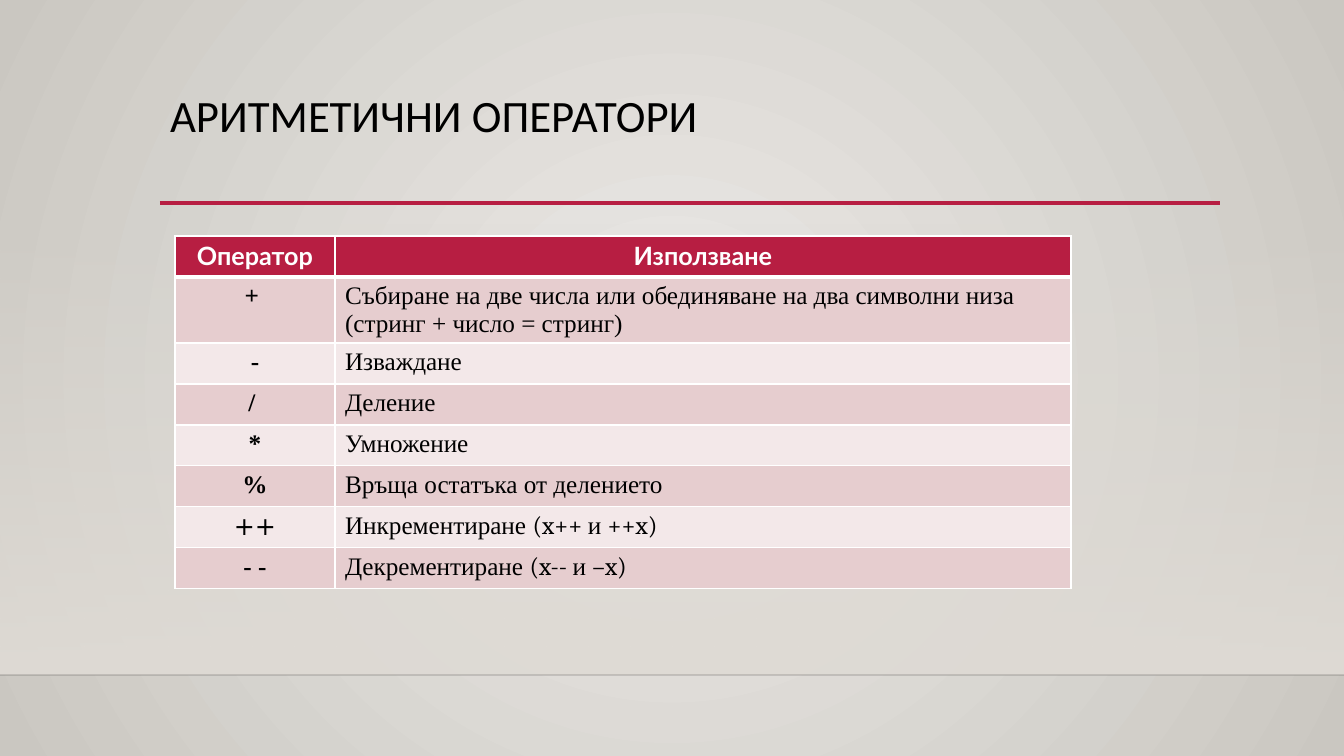
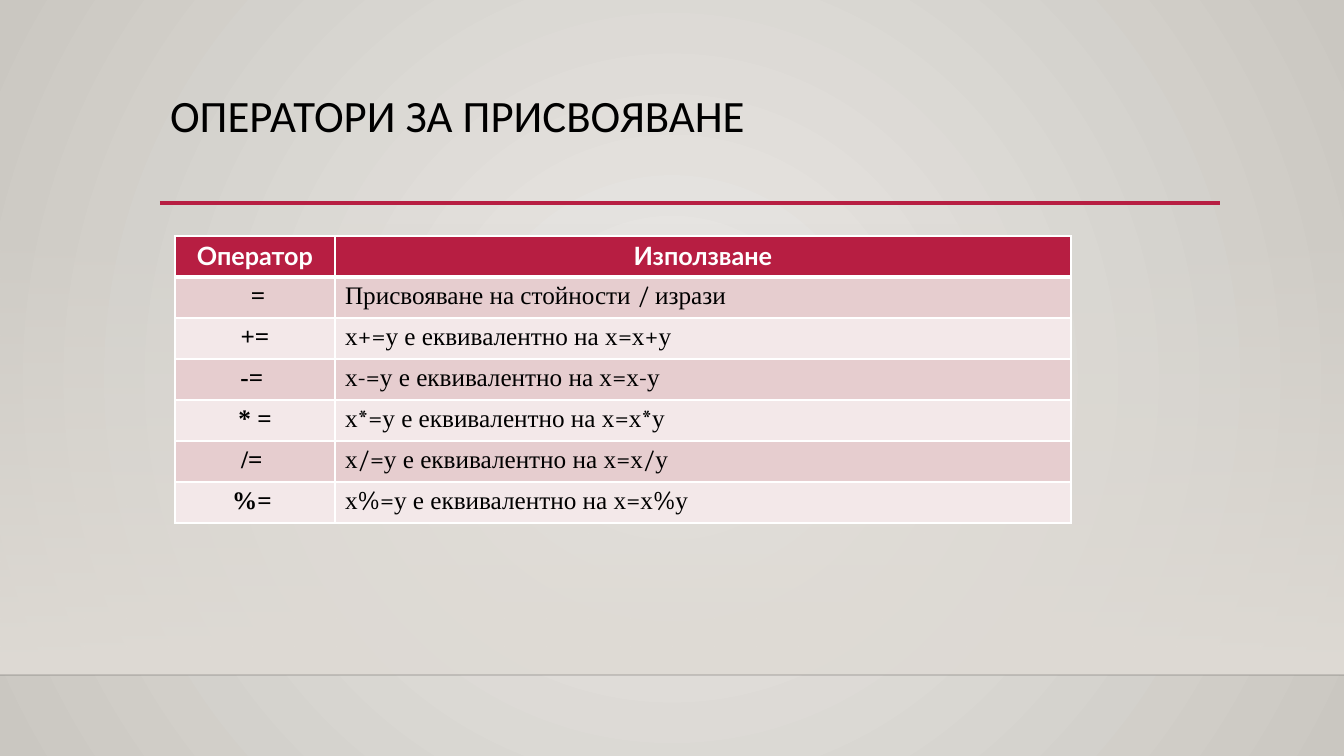
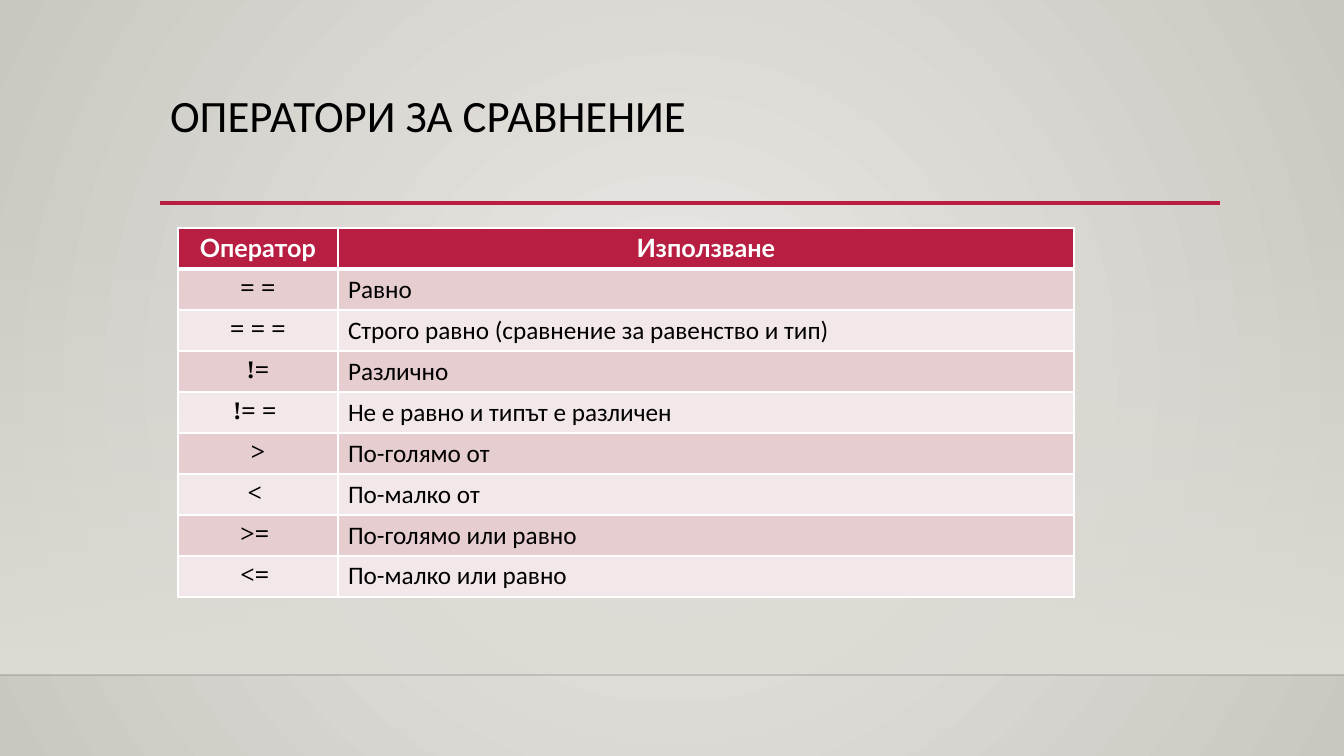
"""Build three slides of operator tables on a shared layout."""
from dataclasses import dataclass
from itertools import cycle

from lxml.etree import SubElement
from pptx import Presentation
from pptx.dml.color import RGBColor
from pptx.enum.dml import MSO_FILL
from pptx.enum.shapes import MSO_CONNECTOR, MSO_SHAPE, PP_PLACEHOLDER
from pptx.enum.text import MSO_ANCHOR, MSO_AUTO_SIZE, PP_ALIGN
from pptx.oxml.ns import qn
from pptx.util import Pt


@dataclass(frozen=True)
class Theme:
    accent: str = "B71E42"
    bands: tuple = ("E6CDCF", "F3E8E9")
    backdrop: tuple = ("ECEAE7", "CAC7C1")
    floor: str = "DFDBD5"
    edge: str = "000001"
    ink: str = "000000"
    paper: str = "FFFFFF"
    title_font: str = "Calibri"
    head_font: str = "Lato"
    serif: str = "Times New Roman"
    code_font: str = "Cambria"
    wide_font: str = "DejaVu Sans"
    title_size: int = 32
    cell_size: int = 18


T = Theme()
PX = 914400 / 100.8
W, H = 1344, 756
TITLE_BOX = (160, 89, 1058, 115)
FLOOR_BOX = (0, 223, W, 452)
COLS = (160, 736)
ROW_H = 41
HEAD = ("Оператор", "Използване")
MIXED = (T.serif, T.code_font)

ASSIGN = (("+=", "+"), ("-= ", "-"), ("* =", "*"), ("/= ", "/"), ("%= ", "%"))
SLIDES = [
    {"title": "АРИТМЕТИЧНИ ОПЕРАТОРИ", "at": (175, 236), "fonts": MIXED, "rows": [
        ("+ ", "Събиране на две числа или обединяване на два символни низа (стринг + число = стринг)"),
        ("-", "Изваждане"),
        ("/ ", "Деление"),
        ("*", "Умножение"),
        ("%", "Връща остатъка от делението"),
        ("++", "Инкрементиране |(x++ |и |++x)"),
        ("- -", "Декрементиране |(x-- |и |–x)"),
    ]},
    {"title": "ОПЕРАТОРИ ЗА ПРИСВОЯВАНЕ", "at": (175, 236), "fonts": MIXED, "rows": [
        (" =", "Присвояване на стойности |/ |изрази"),
        *((label, f"х|{op}=|у е еквивалентно на х|=|х|{op}|у") for label, op in ASSIGN),
    ]},
    {"title": "ОПЕРАТОРИ ЗА СРАВНЕНИЕ", "at": (178, 228), "fonts": (T.title_font,), "rows": [
        ("= =", "Равно"),
        ("= = =", "Строго равно (сравнение за равенство и тип)"),
        ("!=", "Различно"),
        ("!= = ", "Не е равно и типът е различен"),
        (">", "По-голямо от"),
        ("< ", "По-малко от"),
        (">= ", "По-голямо или равно"),
        ("<= ", "По-малко или равно"),
    ]},
]


def px(*values):
    return [round(v * PX) for v in values]


def rgb(color):
    return RGBColor.from_string(color)


def write(tf, text, *, fonts, size=T.cell_size, color=T.ink, bold=False,
          align=PP_ALIGN.LEFT, spacing=None):
    p = tf.paragraphs[0]
    p.alignment, p.line_spacing = align, spacing
    for part, font in zip(text.split("|"), cycle(fonts)):
        r = p.add_run()
        r.text = part
        r.font.name, r.font.size, r.font.bold = font, Pt(size), bold
        r.font.color.rgb = rgb(color)


def set_alpha(color_el, percent):
    SubElement(color_el, qn("a:alpha"), val=str(percent * 1000))


def set_gradient(fill, colors):
    fill.gradient()
    for stop, color in zip(fill.gradient_stops, colors):
        stop.color.rgb = rgb(color)


def add_line(s, start, end, color, width, alpha=None):
    line = s.shapes.add_connector(MSO_CONNECTOR.STRAIGHT, *px(*start, *end))
    line.line.color.rgb, line.line.width = rgb(color), Pt(width)
    sp_pr = line.element.spPr
    if alpha is not None:
        set_alpha(sp_pr.find(".//" + qn("a:srgbClr")), alpha)
    SubElement(sp_pr, qn("a:effectLst"))
    return line


def set_backdrop(master):
    set_gradient(master.background.fill, T.backdrop)
    grad = master.element.find(".//" + qn("a:gradFill"))
    grad.remove(grad.find(qn("a:lin")))
    circle = SubElement(grad, qn("a:path"), path="circle")
    SubElement(circle, qn("a:fillToRect"), {side: "50000" for side in "ltrb"})


def decorate_layout(layout, s):
    """Draw the shared parts on a slide and move them to its layout."""
    tree = layout.shapes.element
    for ph in list(layout.placeholders):
        if ph.placeholder_format.type != PP_PLACEHOLDER.TITLE:
            tree.remove(ph.element)
    floor = s.shapes.add_shape(MSO_SHAPE.RECTANGLE, *px(*FLOOR_BOX))
    floor.shadow.inherit = False
    floor.line.fill.background()
    set_gradient(floor.fill, (T.floor, T.floor))
    floor.fill.gradient_angle = 270
    set_alpha(floor.element.spPr.find(".//" + qn("a:srgbClr")), 0)
    parts = [floor,
             add_line(s, (0, 675), (W, 675), T.edge, 1, alpha=20),
             add_line(s, (160, 203), (1220, 203), T.accent, 2.5)]
    for part in parts:
        tree.append(part.element)


def add_title(s, text):
    title = s.shapes.title
    title.left, title.top, title.width, title.height = px(*TITLE_BOX)
    tf = title.text_frame
    tf.word_wrap, tf.auto_size = True, MSO_AUTO_SIZE.NONE
    tf.vertical_anchor = MSO_ANCHOR.TOP
    write(tf, text, fonts=(T.title_font,), size=T.title_size, spacing=0.9)


def style_cell(cell, fill, borders):
    tc_pr = cell._tc.get_or_add_tcPr()
    for side, width in borders.items():
        ln = SubElement(tc_pr, qn("a:ln" + side), w=str(Pt(width)))
        SubElement(SubElement(ln, qn("a:solidFill")), qn("a:srgbClr"), val=T.paper)
    cell.fill.solid()
    cell.fill.fore_color.rgb = rgb(fill)


def add_operators(s, at, rows, fonts):
    size = sum(COLS), ROW_H * (len(rows) + 1)
    table = s.shapes.add_table(len(rows) + 1, len(COLS), *px(*at, *size)).table
    table.horz_banding = False
    for col, width in zip(table.columns, px(*COLS)):
        col.width = width
    for cell, text in zip(table.rows[0].cells, HEAD):
        style_cell(cell, T.accent, {"L": 1, "R": 1, "T": 1, "B": 3})
        write(cell.text_frame, text, fonts=(T.head_font,), color=T.paper,
              bold=True, align=PP_ALIGN.CENTER)
    for i, (operator, usage) in enumerate(rows):
        cells = table.rows[i + 1].cells
        for cell in cells:
            style_cell(cell, T.bands[i % 2], {"L": 1, "R": 1, "B": 1})
        wide = operator == "++"
        write(cells[0].text_frame, operator, bold=not wide, align=PP_ALIGN.CENTER,
              fonts=(T.wide_font if wide else T.serif,))
        write(cells[1].text_frame, usage, fonts=fonts)


def main():
    prs = Presentation()
    prs.slide_width, prs.slide_height = px(W, H)
    layout = prs.slide_layouts[5]
    set_backdrop(prs.slide_master)
    for i, data in enumerate(SLIDES):
        s = prs.slides.add_slide(layout)
        if i == 0:
            decorate_layout(layout, s)
        add_title(s, data["title"])
        add_operators(s, data["at"], data["rows"], data["fonts"])
    prs.save("out.pptx")


if __name__ == "__main__":
    main()
